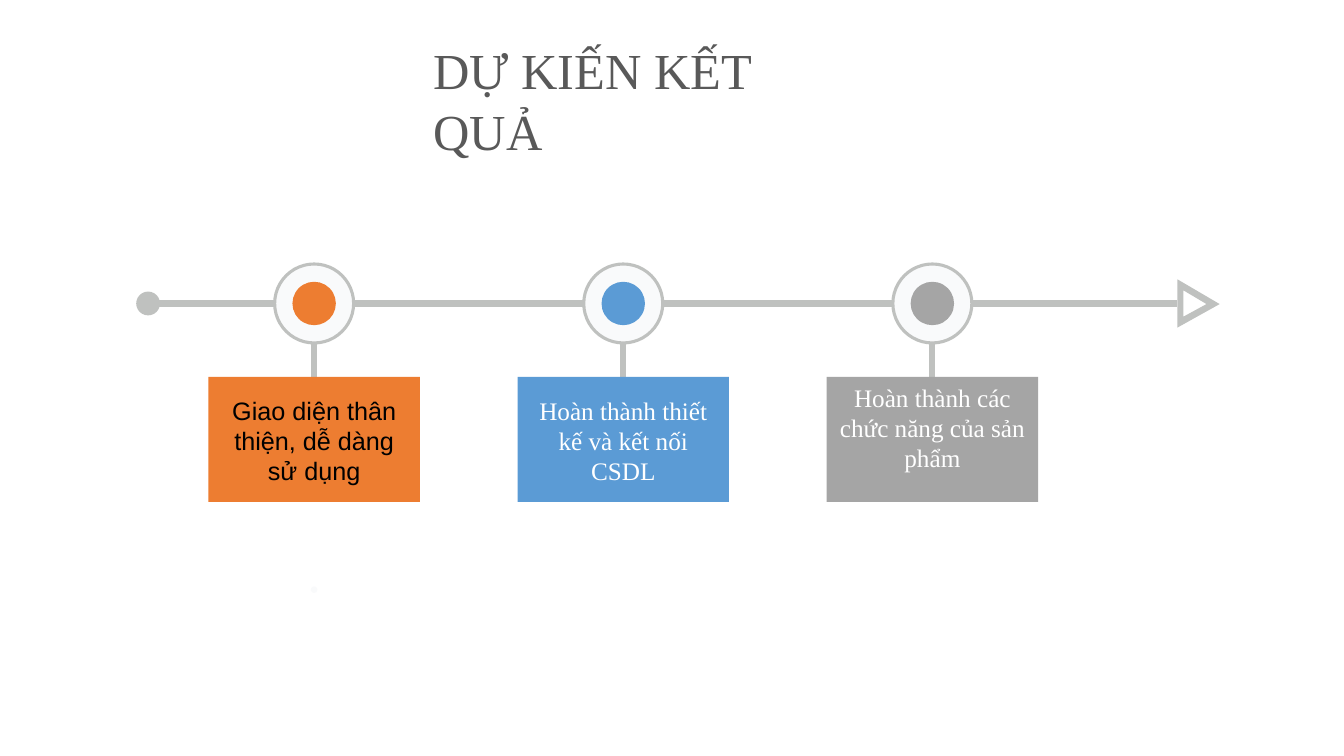
from lxml.etree import SubElement
from pptx import Presentation
from pptx.dml.color import RGBColor
from pptx.enum.shapes import MSO_CONNECTOR, MSO_SHAPE
from pptx.enum.text import MSO_ANCHOR as ANCHOR, MSO_AUTO_SIZE, PP_ALIGN as ALIGN
from pptx.oxml.ns import qn
from pptx.util import Pt

BLACK = RGBColor(0x00, 0x00, 0x00)
WHITE = RGBColor(0xFF, 0xFF, 0xFF)
TITLE_GRAY = RGBColor(0x59, 0x59, 0x59)
LINE_GRAY = RGBColor(0xBF, 0xC1, 0xBF)
PALE = RGBColor(0xF9, 0xFA, 0xFB)
ORANGE = RGBColor(0xED, 0x7D, 0x31)
BLUE = RGBColor(0x5B, 0x9B, 0xD5)
GRAY = RGBColor(0xA5, 0xA5, 0xA5)

SERIF = "Times New Roman"
TITLE = "DỰ KIẾN KẾT QUẢ"
MILESTONES = [
    ("Giao diện thân thiện, dễ dàng sử dụng", ORANGE, "Arial", BLACK, 13),
    ("Hoàn thành thiết kế và kết nối CSDL", BLUE, SERIF, WHITE, 13),
    ("Hoàn thành các chức năng của sản phẩm", GRAY, SERIF, WHITE, 3.6),
]

AXIS_Y, AXIS_LEFT, AXIS_RIGHT = 216.8, 105, 841
AXIS_WEIGHT = 4.4
FIRST_X, PITCH = 224.4, 220.8
RING, RING_WEIGHT, CORE = 56.4, 2.2, 31
BOX_TOP, BOX_W, BOX_H = 269.2, 151, 89.4
ARROW = [
    [(841, 234), (841, 199.5), (871.2, 217.2)],
    [(845.3, 207.4), (845.3, 226.2), (861.8, 217.2)],
]


def add_filled(s, kind, left, top, width, height, color):
    sp = s.shapes.add_shape(kind, Pt(left), Pt(top), Pt(width), Pt(height))
    sp.shadow.inherit = False
    sp.fill.solid()
    sp.fill.fore_color.rgb = color
    sp.line.fill.background()
    return sp


def add_circle(s, x, y, size, color):
    return add_filled(s, MSO_SHAPE.OVAL, x - size / 2, y - size / 2, size, size, color)


def add_line(s, x1, y1, x2, y2):
    cn = s.shapes.add_connector(MSO_CONNECTOR.STRAIGHT, Pt(x1), Pt(y1), Pt(x2), Pt(y2))
    cn.line.color.rgb = LINE_GRAY
    cn.line.width = Pt(AXIS_WEIGHT)
    SubElement(cn._element.spPr, qn("a:effectLst"))


def add_text(tf, text, font, size, color, align):
    tf.word_wrap = True
    tf.vertical_anchor = ANCHOR.TOP
    p = tf.paragraphs[0]
    p.alignment = align
    r = p.add_run()
    r.text = text
    r.font.name = font
    r.font.size = Pt(size)
    r.font.color.rgb = color


def add_arrow(s):
    outer, inner = ARROW
    fb = s.shapes.build_freeform(Pt(outer[0][0]), Pt(outer[0][1]))
    fb.add_line_segments([(Pt(x), Pt(y)) for x, y in outer[1:]], close=True)
    fb.move_to(Pt(inner[0][0]), Pt(inner[0][1]))
    fb.add_line_segments([(Pt(x), Pt(y)) for x, y in inner[1:]], close=True)
    sp = fb.convert_to_shape()
    sp.shadow.inherit = False
    sp.fill.solid()
    sp.fill.fore_color.rgb = LINE_GRAY
    sp.line.fill.background()


def add_milestone(s, x, text, color, font, text_color, inset):
    ring = add_circle(s, x, AXIS_Y, RING, PALE)
    ring.line.color.rgb = LINE_GRAY
    ring.line.width = Pt(RING_WEIGHT)
    add_circle(s, x, AXIS_Y, CORE, color)
    add_line(s, x, AXIS_Y + RING / 2, x, BOX_TOP)
    box = add_filled(s, MSO_SHAPE.RECTANGLE, x - BOX_W / 2, BOX_TOP, BOX_W, BOX_H, color)
    box.text_frame.margin_top = Pt(inset)
    add_text(box.text_frame, text, font, 18, text_color, ALIGN.CENTER)


def main():
    prs = Presentation()
    prs.slide_width, prs.slide_height = Pt(960), Pt(540)
    s = prs.slides.add_slide(prs.slide_layouts[5])

    title = s.shapes.title
    title.left, title.top, title.width, title.height = Pt(302.4), Pt(24.5), Pt(319), Pt(51)
    title.text_frame.auto_size = MSO_AUTO_SIZE.NONE
    add_text(title.text_frame, TITLE, SERIF, 36, TITLE_GRAY, ALIGN.LEFT)

    add_line(s, AXIS_LEFT, AXIS_Y, AXIS_RIGHT, AXIS_Y)
    add_circle(s, AXIS_LEFT + 0.8, AXIS_Y, 17, LINE_GRAY)
    add_arrow(s)
    for i, milestone in enumerate(MILESTONES):
        add_milestone(s, FIRST_X + i * PITCH, *milestone)
    add_circle(s, FIRST_X, 421.2, 4.6, PALE)

    prs.save("out.pptx")


if __name__ == "__main__":
    main()
